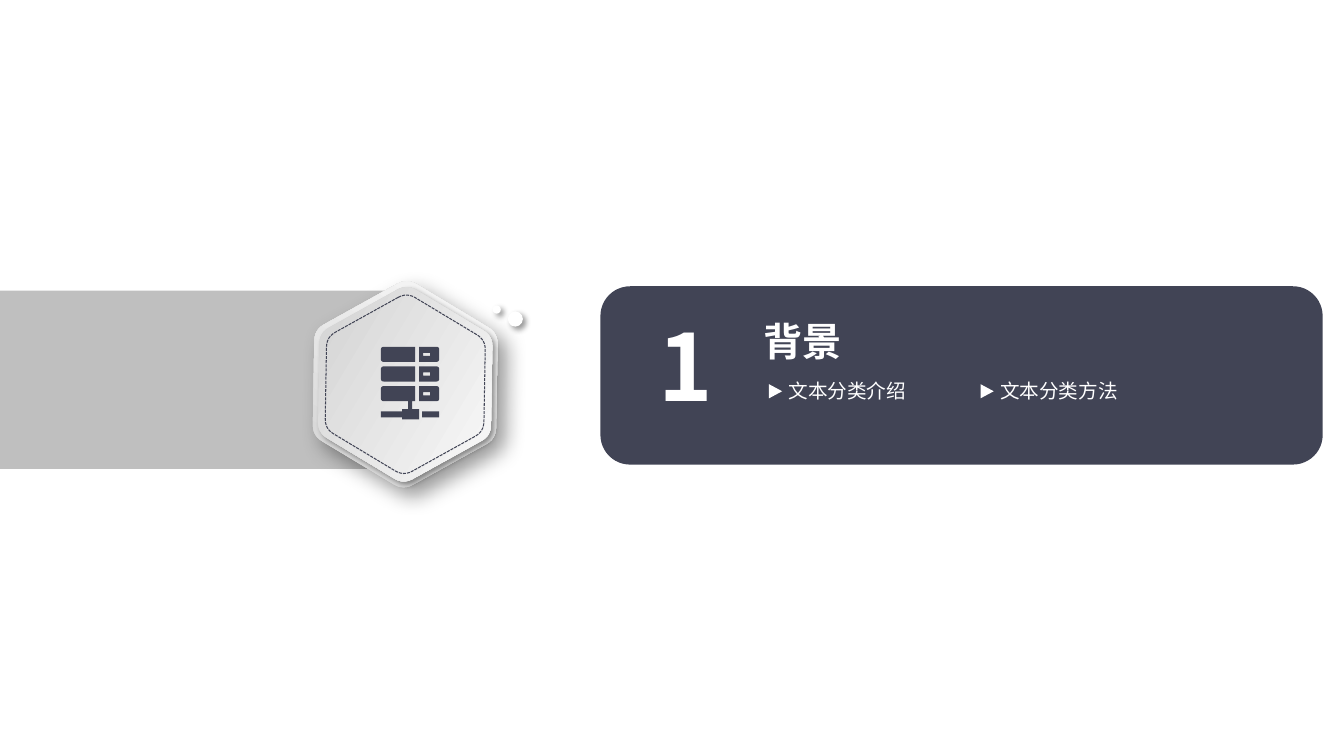
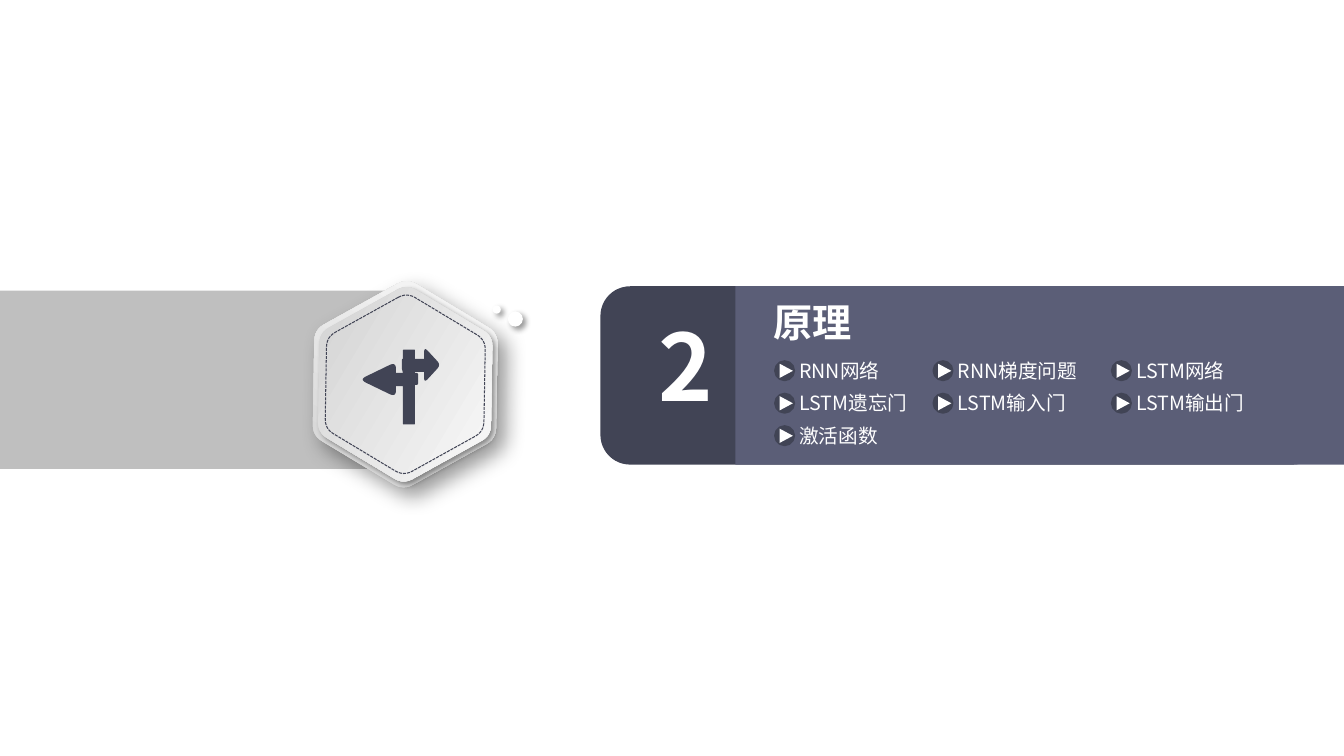
import math
from dataclasses import dataclass

import pptx
import pptx.dml.color
import pptx.enum.dml
import pptx.enum.shapes
import pptx.enum.text
import pptx.oxml.ns
import pptx.util
from lxml import etree

Pt = pptx.util.Pt
SHAPE = pptx.enum.shapes.MSO_SHAPE
ALIGN = pptx.enum.text.PP_ALIGN
qn = pptx.oxml.ns.qn


@dataclass(frozen=True)
class Theme:
    font: str = "Noto Sans CJK SC"
    navy: str = "414455"
    slate: str = "5B5E77"
    grey: str = "BFBFBF"
    white: str = "FFFFFF"
    shade: str = "D3D3D3"
    light: str = "F9F9F9"
    shadow: str = "000000"
    number_size: float = 66
    heading_size: float = 28
    topic_size: float = 14


THEME = Theme()
SLIDE_WIDTH, SLIDE_HEIGHT = 960.5, 540
PANEL_TOP, PANEL_HEIGHT = 204.5, 127.4
DEEP_SHADOW, SOFT_SHADOW = (15, 9), (4, 3)
BADGE_CENTER = (289.6, 274.5)
DOTS = [(352.1, 218.2, 5.8), (362.9, 222.5, 10.8)]

SECTIONS = [
    {
        "number": "1",
        "heading": "背景",
        "heading_at": (540.7, 223.9),
        "icon": "server",
        "split": None,
        "topics": [["文本分类介绍", "文本分类方法"]],
        "columns": [546.5, 697.7],
        "first_row": 272.9,
    },
    {
        "number": "2",
        "heading": "原理",
        "heading_at": (547.9, 210.2),
        "icon": "signpost",
        "split": 525.6,
        "topics": [
            ["RNN网络", "RNN梯度问题", "LSTM网络"],
            ["LSTM遗忘门", "LSTM输入门", "LSTM输出门"],
            ["激活函数"],
        ],
        "columns": [554.2, 667.4, 794.9],
        "first_row": 258.3,
    },
]
ROW_PITCH = 23.2

SIGNPOST = [
    (288, 249.8, 0.5), (296.6, 249.8, 0.5), (296.6, 256.3, 0),
    (303.1, 256.3, 0), (303.1, 247.7, 4), (315, 260.6, 3.6),
    (303.1, 273.6, 4), (303.1, 265.7, 0), (296.6, 265.7, 0),
    (296.6, 266.4, 0), (298.8, 266.4, 1.4), (298.8, 275, 1.4),
    (296.6, 275, 0), (296.6, 303.1, 0.5), (288, 303.1, 0.5),
    (288, 275.8, 0), (283, 275.8, 0), (283, 283.7, 5),
    (257, 271.1, 5), (283, 258.5, 5), (283, 266.4, 0),
    (288, 266.4, 0), (287.3, 263.5, 0), (287.3, 256.3, 0.7),
    (288, 256.3, 0),
]


def box(left, top, right, bottom, left_cut=0, right_cut=0):
    return [(left, top, left_cut), (right, top, right_cut),
            (right, bottom, right_cut), (left, bottom, left_cut)]


def server():
    contours = []
    for row in range(3):
        top = 247.7 + row * 14.05
        contours += [
            box(272.2, top, 296.6, top + 10.8, left_cut=2.2),
            box(299.5, top, 313.9, top + 10.8, right_cut=2.2),
            box(302.4, top + 4.3, 307.4, top + 6.6),
        ]
    return contours + [
        box(291.6, 286.6, 294.5, 292.3),
        box(287.3, 292.3, 299.5, 299.5),
        box(272.2, 293.8, 287.3, 298.1),
        box(301.7, 293.8, 313.9, 298.1),
    ]


ICONS = {"server": server(), "signpost": [SIGNPOST]}


def hexagon(radius, cut):
    corners = []
    for side in range(6):
        angle = math.radians(60 * side - 89)
        corners.append((BADGE_CENTER[0] + radius * math.cos(angle),
                        BADGE_CENTER[1] + radius * math.sin(angle), cut))
    return corners


def soften(corners, steps=6):
    outline = []
    for index, (x, y, cut) in enumerate(corners):
        if not cut:
            outline.append((x, y))
            continue
        ends = []
        for near_x, near_y, _ in (corners[index - 1], corners[(index + 1) % len(corners)]):
            share = cut / math.hypot(near_x - x, near_y - y)
            ends.append((x + (near_x - x) * share, y + (near_y - y) * share))
        for step in range(steps + 1):
            t = step / steps
            weights = ((1 - t) ** 2, 2 * t * (1 - t), t ** 2)
            curve = (ends[0], (x, y), ends[1])
            outline.append(tuple(sum(w * p[axis] for w, p in zip(weights, curve))
                                 for axis in (0, 1)))
    return outline


def rgb(color):
    return pptx.dml.color.RGBColor.from_string(color)


def paint(shape, fill=None, line=None, line_width=0.75, shadow=None):
    if fill:
        shape.fill.solid()
        shape.fill.fore_color.rgb = rgb(fill)
    else:
        shape.fill.background()
    if line:
        shape.line.color.rgb = rgb(line)
        shape.line.width = Pt(line_width)
    else:
        shape.line.fill.background()
    shape.shadow.inherit = False
    if shadow:
        blur, distance = shadow
        effects = shape.element.spPr.find(qn("a:effectLst"))
        outer = etree.SubElement(effects, qn("a:outerShdw"), blurRad=str(Pt(blur)),
                                 dist=str(Pt(distance)), dir="2700000",
                                 algn="tl", rotWithShape="0")
        color = etree.SubElement(outer, qn("a:srgbClr"), val=THEME.shadow)
        etree.SubElement(color, qn("a:alpha"), val="40000")
    return shape


def add_preset(slide, kind, left, top, width, height, **look):
    shape = slide.shapes.add_shape(kind, Pt(left), Pt(top), Pt(width), Pt(height))
    return paint(shape, **look)


def add_outline(slide, contours, **look):
    outlines = [[(Pt(x), Pt(y)) for x, y in soften(corners)] for corners in contours]
    builder = slide.shapes.build_freeform(*outlines[0][0], scale=1.0)
    for index, outline in enumerate(outlines):
        if index:
            builder.move_to(*outline[0])
        builder.add_line_segments(outline[1:], close=True)
    return paint(builder.convert_to_shape(), **look)


def write(shape, left, top, width, height, text, size, bold=False, align=ALIGN.LEFT):
    shape.left, shape.top, shape.width, shape.height = map(Pt, (left, top, width, height))
    frame = shape.text_frame
    frame.word_wrap = False
    frame.auto_size = pptx.enum.text.MSO_AUTO_SIZE.NONE
    frame.vertical_anchor = pptx.enum.text.MSO_ANCHOR.MIDDLE
    frame.margin_left = frame.margin_right = frame.margin_top = frame.margin_bottom = 0
    paragraph = frame.paragraphs[0]
    paragraph.alignment = align
    run = paragraph.add_run()
    run.text = text
    run.font.name = THEME.font
    run.font.size = Pt(size)
    run.font.bold = bold
    run.font.color.rgb = rgb(THEME.white)
    latin = run.font._element.find(qn("a:latin"))
    latin.addnext(latin.makeelement(qn("a:ea"), {"typeface": THEME.font}))


def add_label(slide, *args, **options):
    write(slide.shapes.add_textbox(0, 0, 0, 0), *args, **options)


def add_badge(slide, icon):
    add_preset(slide, SHAPE.RECTANGLE, 0, 207.6, 293, 127.4, fill=THEME.grey)
    for radius, cut, angle, shadow in ((75.6, 7.8, 59.1, DEEP_SHADOW),
                                       (71.3, 7.5, 329.1, SOFT_SHADOW)):
        plate = add_outline(slide, [hexagon(radius, cut)], shadow=shadow)
        plate.fill.gradient()
        plate.fill.gradient_angle = angle
        for stop, color in zip(plate.fill.gradient_stops, (THEME.shade, THEME.light)):
            stop.color.rgb = rgb(color)
    stitching = add_outline(slide, [hexagon(65.5, 7)], line=THEME.navy)
    stitching.line.dash_style = pptx.enum.dml.MSO_LINE.SQUARE_DOT
    for left, top, size in DOTS:
        add_preset(slide, SHAPE.OVAL, left, top, size, size,
                   fill=THEME.white, shadow=SOFT_SHADOW)
    add_outline(slide, ICONS[icon], fill=THEME.navy)


def add_topic(slide, left, top, topic):
    add_label(slide, left + 17, top - 2.2, 96.5, 17.3, topic, THEME.topic_size)
    add_preset(slide, SHAPE.OVAL, left, top, 13, 13,
               fill=THEME.navy, line=THEME.navy, line_width=2)
    arrow = add_preset(slide, SHAPE.ISOSCELES_TRIANGLE, left + 2.7, top + 1.9, 10.1, 9.4,
                       fill=THEME.white)
    arrow.rotation = 90


def add_section(deck, section):
    slide = deck.slides.add_slide(deck.slide_layouts[5])
    add_badge(slide, section["icon"])
    add_preset(slide, SHAPE.ROUNDED_RECTANGLE, 429.1, PANEL_TOP, 516.2, PANEL_HEIGHT,
               fill=THEME.navy)
    if section["split"]:
        add_preset(slide, SHAPE.RECTANGLE, section["split"], PANEL_TOP,
                   SLIDE_WIDTH - section["split"], PANEL_HEIGHT, fill=THEME.slate)
    add_label(slide, 460.8, 216.5, 58.3, 87.2, section["number"],
              THEME.number_size, bold=True, align=ALIGN.CENTER)
    heading = slide.shapes.title
    heading.element.getparent().append(heading.element)
    write(heading, *section["heading_at"], 215.3, 39.6, section["heading"],
          THEME.heading_size, bold=True)
    left_edge = heading.left.pt
    heading.left = Pt(left_edge + 5)
    for row, topics in enumerate(section["topics"]):
        for left, topic in zip(section["columns"], topics):
            add_topic(slide, left, section["first_row"] + row * ROW_PITCH, topic)


def main():
    deck = pptx.Presentation()
    deck.slide_width, deck.slide_height = Pt(SLIDE_WIDTH), Pt(SLIDE_HEIGHT)
    for section in SECTIONS:
        add_section(deck, section)
    deck.save("out.pptx")


if __name__ == "__main__":
    main()
